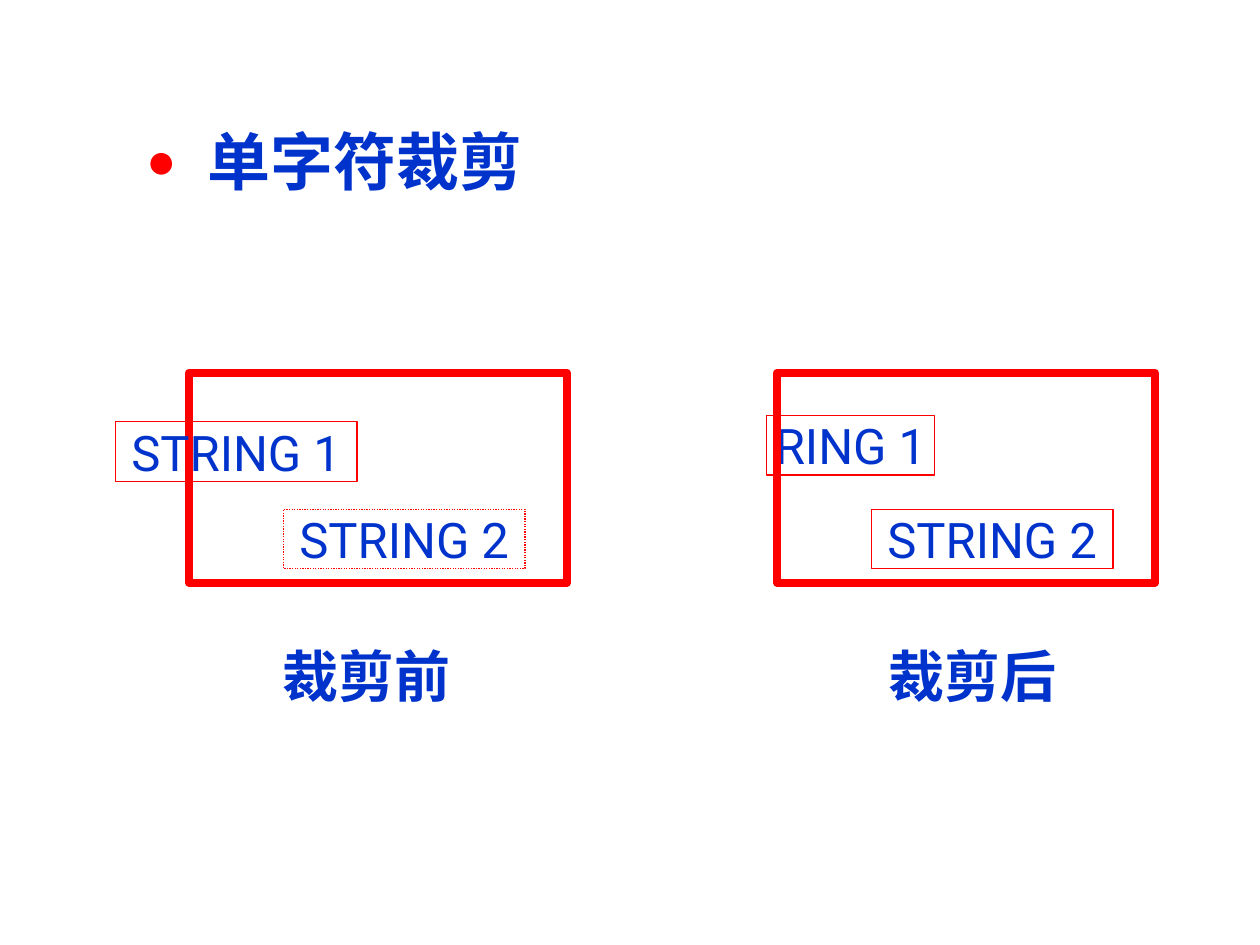
"""Build a slide comparing strings before and after single-character clipping."""
from lxml.etree import SubElement
from pptx import Presentation
from pptx.dml.color import RGBColor
from pptx.enum.dml import MSO_LINE
from pptx.enum.shapes import MSO_SHAPE
from pptx.enum.text import MSO_ANCHOR, MSO_AUTO_SIZE, PP_ALIGN
from pptx.oxml.ns import qn
from pptx.util import Pt

COLORS = {"red": "FF0000", "blue": "0033CC"}
STRING_HEIGHT = 34


def color(name):
    return RGBColor.from_string(COLORS[name])


def style_span(span, size, font_name, bold=False):
    span.font.size = Pt(size)
    span.font.name = font_name
    span.font.bold = bold
    span.font.color.rgb = color("blue")


def add_bullet(para, indent):
    properties = para._p.get_or_add_pPr()
    properties.set("marL", str(Pt(indent)))
    properties.set("indent", str(-Pt(indent)))
    bullet_color = SubElement(properties, qn("a:buClr"))
    SubElement(bullet_color, qn("a:srgbClr"), val=COLORS["red"])
    SubElement(properties, qn("a:buSzPct"), val="80000")
    SubElement(properties, qn("a:buFont"), typeface="Arial")
    SubElement(properties, qn("a:buChar"), char="●")


def fill_heading(page, text):
    title = page.shapes.title
    title.element.getparent().remove(title.element)
    body = page.placeholders[1]
    body.left, body.top, body.width, body.height = Pt(76.3), Pt(71.3), Pt(481.7), Pt(46)
    frame = body.text_frame
    frame.auto_size = MSO_AUTO_SIZE.NONE
    frame.text = text
    para = frame.paragraphs[0]
    add_bullet(para, 35.3)
    para.line_spacing = 0.9
    para.space_before = Pt(0)
    style_span(para.runs[0], 36, "Arial", bold=True)


def add_outline(group, left, top, width, height, weight):
    box = group.shapes.add_shape(
        MSO_SHAPE.RECTANGLE, Pt(left), Pt(top), Pt(width), Pt(height))
    box.shadow.inherit = False
    box.fill.background()
    box.line.color.rgb = color("red")
    box.line.width = Pt(weight)
    return box


def set_centered_text(box, text, size, bold=False, wrap=True):
    frame = box.text_frame
    frame.margin_left = frame.margin_right = frame.margin_top = frame.margin_bottom = 0
    frame.vertical_anchor = MSO_ANCHOR.MIDDLE
    frame.word_wrap = wrap
    frame.text = text
    para = frame.paragraphs[0]
    para.alignment = PP_ALIGN.CENTER
    style_span(para.runs[0], size, "Roboto", bold)


def add_window(group, left):
    add_outline(group, left, 213, 216, 120, 4.5)


def add_string(group, text, left, top, width=138, dotted=False):
    box = add_outline(group, left, top, width, STRING_HEIGHT, 0.75)
    if dotted:
        box.line.dash_style = MSO_LINE.ROUND_DOT
    set_centered_text(box, text, 28)


def add_caption(group, text, left):
    box = group.shapes.add_textbox(Pt(left), Pt(366.5), Pt(96.5), Pt(38))
    set_centered_text(box, text, 32, bold=True, wrap=False)


def add_before(page):
    group = page.shapes.add_group_shape()
    add_window(group, 108)
    add_string(group, "STRING 1", 66, 241)
    add_string(group, "STRING 2", 162, 291, dotted=True)
    add_caption(group, "裁剪前", 161.3)


def add_after(page):
    group = page.shapes.add_group_shape()
    add_string(group, "RING 1", 438, 237.5, width=96)
    add_string(group, "STRING 2", 498, 291)
    add_window(group, 444)
    add_caption(group, "裁剪后", 507.6)


def main():
    deck = Presentation()
    deck.slide_width, deck.slide_height = Pt(720), Pt(540)
    page = deck.slides.add_slide(deck.slide_layouts[1])
    fill_heading(page, "单字符裁剪")
    add_before(page)
    add_after(page)
    deck.save("out.pptx")


if __name__ == "__main__":
    main()
